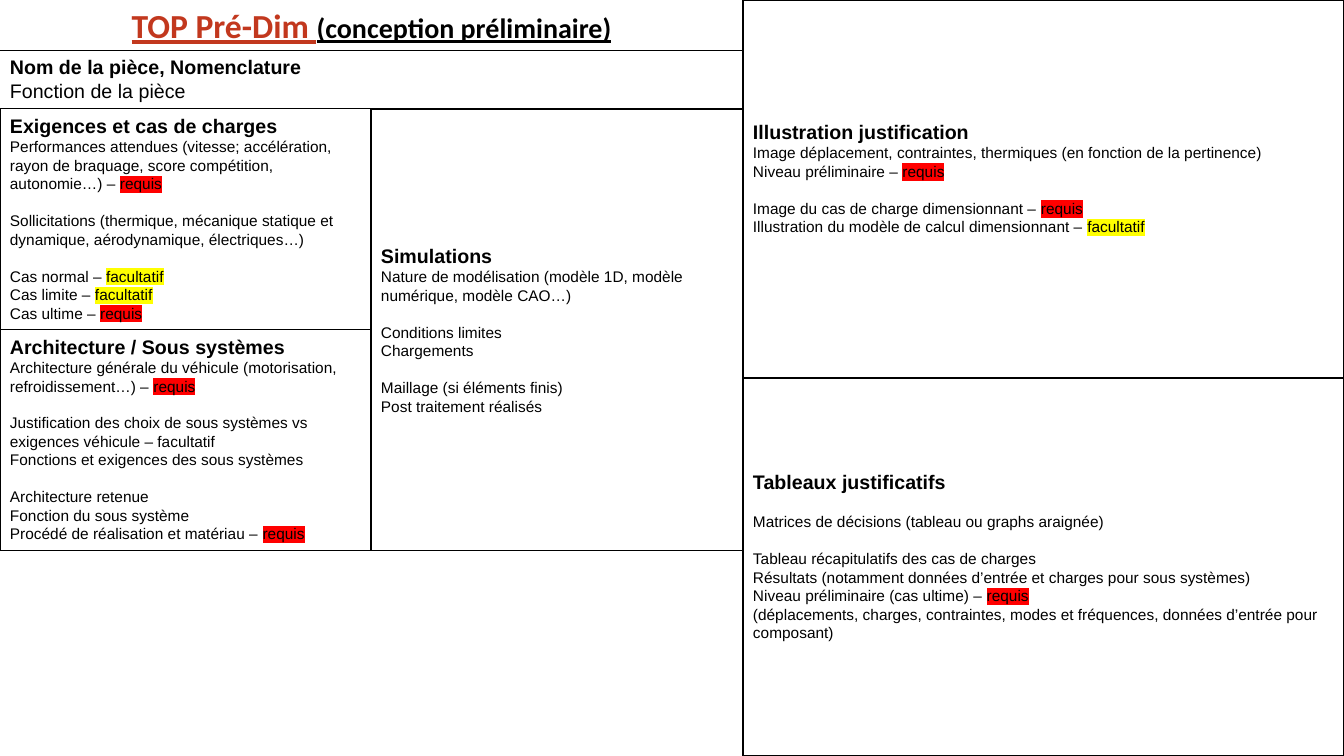
"""Build the one-page preliminary design sheet."""
from lxml.etree import SubElement
from pptx import Presentation
from pptx.dml.color import RGBColor
from pptx.enum.shapes import MSO_SHAPE
from pptx.enum.text import MSO_ANCHOR, MSO_AUTO_SIZE, PP_ALIGN
from pptx.oxml.ns import qn
from pptx.util import Inches, Pt

BLACK = RGBColor(0x00, 0x00, 0x00)
BRICK = RGBColor(0xC2, 0x38, 0x1E)
RED = RGBColor(0xFF, 0x00, 0x00)
YELLOW = RGBColor(0xFF, 0xFF, 0x00)
TAGS = {"requis": RED, "facultatif": YELLOW}

W, H = 13.33, 7.5
COL = 3.68
MID = 7.37
RIGHT = W - MID
TITLE_H = 0.5
TOP = 1.08
ROW = 2.19
GAP = 13.2
TOP_PAD, LOW_PAD = 0.05, 0.27


def add_text(tf, groups):
    """Write groups of lines, a gap between groups and tags in brackets."""
    lines = [(text, i > 0 and j == 0)
             for i, group in enumerate(groups) for j, text in enumerate(group)]
    for n, (text, gap) in enumerate(lines):
        p = tf.paragraphs[0] if n == 0 else tf.add_paragraph()
        p.alignment = PP_ALIGN.LEFT
        if gap:
            p.space_before = Pt(GAP)
        p.font.name = "Arial"
        p.font.size = Pt(14 if n == 0 or len(groups) == 1 else 11)
        p.font.bold = n == 0
        p.font.color.rgb = BLACK
        plain, _, tag = text.rstrip("]").partition("[")
        p.add_run().text = plain
        if tag:
            r = p.add_run()
            r.text = tag
            mark = SubElement(r.font._element, qn("a:highlight"))
            SubElement(mark, qn("a:srgbClr"), val=str(TAGS[tag]))


def add_panel(s, box, line, anchor, low_pad, groups):
    """Draw one bordered panel with its text."""
    sp = s.shapes.add_shape(MSO_SHAPE.RECTANGLE, *map(Inches, box))
    sp.shadow.inherit = False
    sp.fill.background()
    sp.line.color.rgb = BLACK
    sp.line.width = Pt(line)
    tf = sp.text_frame
    tf.word_wrap = True
    tf.vertical_anchor = anchor
    tf.margin_top, tf.margin_bottom = Inches(TOP_PAD), Inches(low_pad)
    add_text(tf, groups)


prs = Presentation()
prs.slide_width, prs.slide_height = Inches(W), Inches(H)
s = prs.slides.add_slide(prs.slide_layouts[5])

title = s.shapes.title
title.left, title.top = 0, 0
title.width, title.height = Inches(MID), Inches(TITLE_H)
tf = title.text_frame
tf.word_wrap = True
tf.auto_size = MSO_AUTO_SIZE.NONE
tf.vertical_anchor = MSO_ANCHOR.TOP
p = tf.paragraphs[0]
p.alignment = PP_ALIGN.CENTER
p.font.name = "Calibri"
p.font.bold = True
p.font.underline = True
for text, size, color in [("TOP Pré-Dim ", 24, BRICK),
                          ("(conception préliminaire)", 20, BLACK)]:
    r = p.add_run()
    r.text = text
    r.font.size = Pt(size)
    r.font.color.rgb = color

panels = [
    ((0, TITLE_H, MID, TOP - TITLE_H), 0.75, MSO_ANCHOR.TOP, TOP_PAD, [
        ["Nom de la pièce, Nomenclature", "Fonction de la pièce"]]),
    ((0, TOP, COL, ROW), 0.75, MSO_ANCHOR.TOP, TOP_PAD, [
        ["Exigences et cas de charges",
         "Performances attendues (vitesse; accélération, rayon de braquage, "
         "score compétition, autonomie…) – [requis]"],
        ["Sollicitations (thermique, mécanique statique et dynamique, "
         "aérodynamique, électriques…)"],
        ["Cas normal – [facultatif]", "Cas limite – [facultatif]",
         "Cas ultime – [requis]"]]),
    ((0, TOP + ROW, COL, ROW), 0.75, MSO_ANCHOR.TOP, TOP_PAD, [
        ["Architecture / Sous systèmes",
         "Architecture générale du véhicule (motorisation, "
         "refroidissement…) – [requis]"],
        ["Justification des choix de sous systèmes vs exigences véhicule "
         "– facultatif",
         "Fonctions et exigences des sous systèmes"],
        ["Architecture retenue", "Fonction du sous système",
         "Procédé de réalisation et matériau – [requis]"]]),
    ((COL, TOP, MID - COL, 2 * ROW), 1, MSO_ANCHOR.MIDDLE, TOP_PAD, [
        ["Simulations",
         "Nature de modélisation (modèle 1D, modèle numérique, modèle CAO…)"],
        ["Conditions limites", "Chargements"],
        ["Maillage (si éléments finis)", "Post traitement réalisés"]]),
    ((MID, 0, RIGHT, H / 2), 1, MSO_ANCHOR.MIDDLE, LOW_PAD, [
        ["Illustration justification",
         "Image déplacement, contraintes, thermiques (en fonction de la "
         "pertinence)",
         "Niveau préliminaire – [requis]"],
        ["Image du cas de charge dimensionnant – [requis]",
         "Illustration du modèle de calcul dimensionnant – [facultatif]"]]),
    ((MID, H / 2, RIGHT, H / 2), 1, MSO_ANCHOR.MIDDLE, LOW_PAD, [
        ["Tableaux justificatifs"],
        ["Matrices de décisions (tableau ou graphs araignée)"],
        ["Tableau récapitulatifs des cas de charges",
         "Résultats (notamment données d’entrée et charges pour sous "
         "systèmes)",
         "Niveau préliminaire (cas ultime) – [requis]",
         "(déplacements, charges, contraintes, modes et fréquences, données "
         "d’entrée pour composant)"]]),
]
for panel in panels:
    add_panel(s, *panel)

prs.save("out.pptx")
